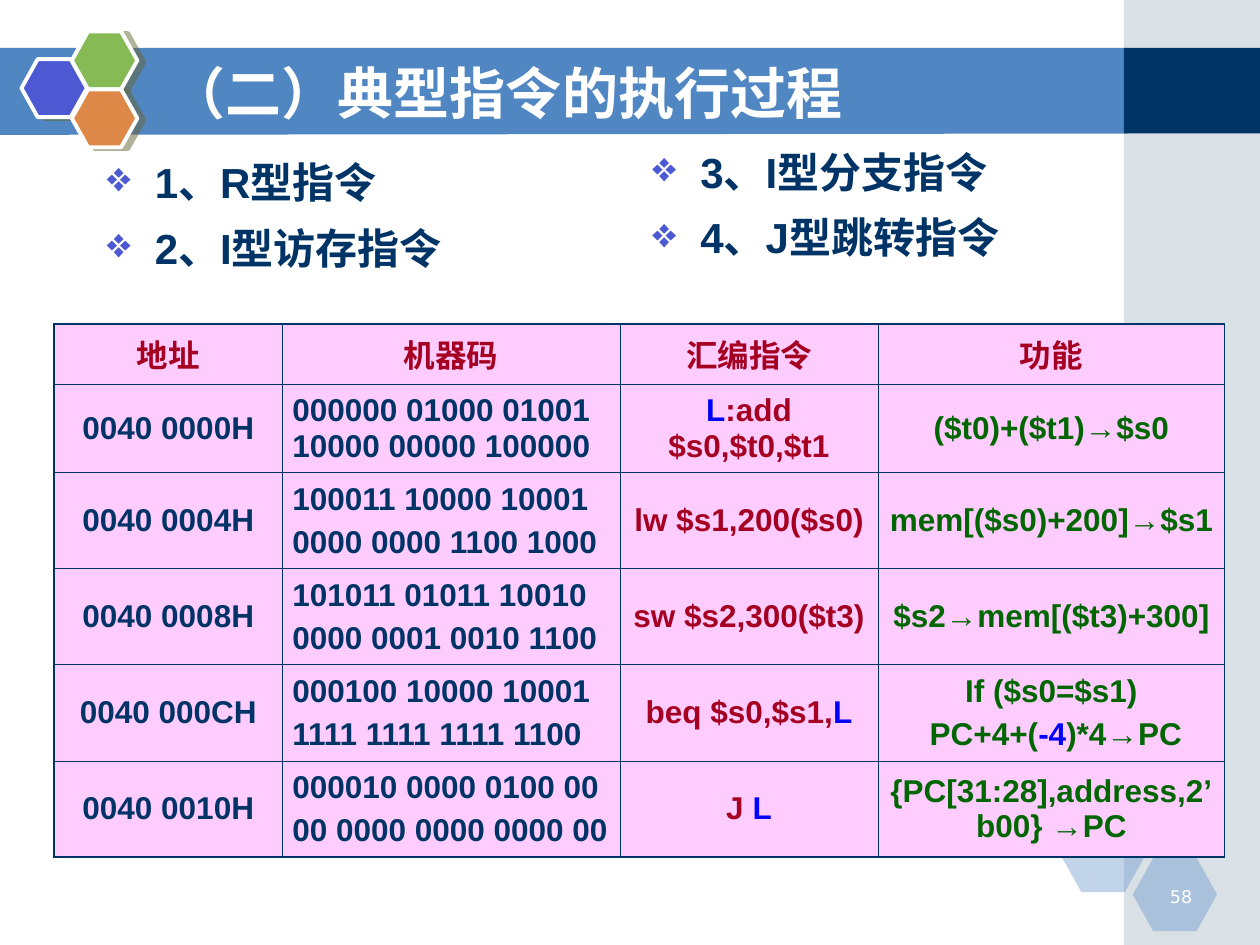
from lxml import etree
from pptx import Presentation
from pptx.dml.color import RGBColor
from pptx.enum.shapes import MSO_SHAPE
from pptx.enum.text import MSO_ANCHOR, PP_ALIGN
from pptx.oxml.ns import qn
from pptx.util import Inches, Pt

RECTANGLE, HEXAGON = MSO_SHAPE.RECTANGLE, MSO_SHAPE.HEXAGON
LEFT, CENTER, RIGHT = PP_ALIGN.LEFT, PP_ALIGN.CENTER, PP_ALIGN.RIGHT
TOP, MIDDLE = MSO_ANCHOR.TOP, MSO_ANCHOR.MIDDLE

COLORS = {
    "band": "5086C2", "strip": "A0B5C4", "navy": "003366", "white": "FFFFFF",
    "violet": "4C59D2", "green": "85BA54", "orange": "DE8848", "shade": "666633",
    "pink": "FFCCFF", "crimson": "A50021", "blue": "0000FF", "forest": "006600",
}
CJK_FONT = "Noto Sans CJK SC"


def add_element(parent, tag, **attributes):
    return etree.SubElement(parent, qn(tag), {key: str(value) for key, value in attributes.items()})


class SlideBuilder:
    def __init__(self, page):
        self.page = page

    def set_fill(self, item, color, opacity=100):
        item.fill.solid()
        item.fill.fore_color.rgb = RGBColor.from_string(COLORS[color])
        if opacity < 100:
            tint = item.element.spPr.find(qn("a:solidFill")).find(qn("a:srgbClr"))
            add_element(tint, "a:alpha", val=opacity * 1000)

    def band(self, points, color):
        corners = [(Inches(x), Inches(y)) for x, y in points]
        outline = self.page.shapes.build_freeform(*corners[0])
        outline.add_line_segments(corners[1:], close=True)
        shape = outline.convert_to_shape()
        shape.shadow.inherit = False
        shape.line.fill.background()
        self.set_fill(shape, color)

    def shape(self, kind, x, y, width, height, color, opacity=100):
        shape = self.page.shapes.add_shape(kind, Inches(x), Inches(y), Inches(width), Inches(height))
        shape.shadow.inherit = False
        shape.line.fill.background()
        self.set_fill(shape, color, opacity)
        if kind == HEXAGON:
            shape.adjustments[0] = 0.28
        return shape

    def badge(self, x, y, color):
        """Add a white-edged hexagon with a hard drop shadow."""
        shape = self.shape(HEXAGON, x, y, 0.52, 0.46, color)
        shape.line.color.rgb = RGBColor.from_string(COLORS["white"])
        shape.line.width = Pt(2.25)
        effects = shape.element.spPr.find(qn("a:effectLst"))
        shadow = add_element(effects, "a:outerShdw", blurRad=0, dist=Pt(4.1),
                             dir=14 * 60000, algn="ctr", rotWithShape=0)
        tint = add_element(shadow, "a:srgbClr", val=COLORS["shade"])
        add_element(tint, "a:alpha", val=50000)

    def span(self, para, text, size, color, font="Arial", bold=True):
        span = para.add_run()
        span.text = text
        span.font.size = Pt(size)
        span.font.bold = bold
        span.font.color.rgb = RGBColor.from_string(COLORS[color])
        span.font.name = font
        add_element(span.font._element, "a:ea", typeface=CJK_FONT)

    def text_box(self, x, y, width, height, anchor=TOP):
        box = self.page.shapes.add_textbox(Inches(x), Inches(y), Inches(width), Inches(height))
        box.text_frame.word_wrap = True
        box.text_frame.vertical_anchor = anchor
        return box.text_frame

    def label(self, x, y, width, height, text, size, font, align=LEFT, anchor=TOP, bold=True):
        para = self.text_box(x, y, width, height, anchor).paragraphs[0]
        para.alignment = align
        self.span(para, text, size, "white", font, bold)

    def paragraphs(self, frame, count, gap):
        """Yield paragraphs with the gap only between them."""
        for index in range(count):
            para = frame.add_paragraph() if index else frame.paragraphs[0]
            if index:
                para.space_before = Pt(gap)
            yield para

    def bullets(self, x, y, items):
        frame = self.text_box(x, y, 4.09, 1.1)
        for para, item in zip(self.paragraphs(frame, len(items), 6), items):
            para.line_spacing = 1.1
            properties = para._p.get_or_add_pPr()
            properties.set("marL", str(Inches(0.38)))
            properties.set("indent", str(-Inches(0.38)))
            add_element(add_element(properties, "a:buClr"), "a:srgbClr", val=COLORS["violet"])
            add_element(properties, "a:buChar", char="❖")
            self.span(para, item, 24, "navy")

    def borders(self, cell, widths):
        properties = cell._tc.get_or_add_tcPr()
        for side, width in zip("LRTB", widths):
            line = add_element(properties, f"a:ln{side}", w=Pt(width))
            add_element(add_element(line, "a:solidFill"), "a:srgbClr", val=COLORS["navy"])

    def cell(self, cell, paragraphs, color, align):
        """Fill a cell; each paragraph is a list of spans, and "*" marks a blue span."""
        cell.vertical_anchor = MIDDLE
        cell.margin_left = Inches(0.08 if align == LEFT else 0.04)
        cell.margin_right = Inches(0.04)
        cell.margin_top = cell.margin_bottom = Inches(0.05)
        self.set_fill(cell, "pink")
        for para, spans in zip(self.paragraphs(cell.text_frame, len(paragraphs), 4.5), paragraphs):
            para.alignment = align
            for text in spans:
                marked = text.startswith("*")
                self.span(para, text[1:] if marked else text, 18, "blue" if marked else color)

    def table(self, x, y, widths, heights, header, rows):
        frame = self.page.shapes.add_table(len(heights), len(widths), Inches(x), Inches(y),
                                           Inches(sum(widths)), Inches(sum(heights)))
        table = frame.table
        table.horz_banding = False
        for column, width in zip(table.columns, widths):
            column.width = Inches(width)
        for row, height in zip(table.rows, heights):
            row.height = Inches(height)
        last_row, last_column = len(heights) - 1, len(widths) - 1
        column_colors = ["navy", "navy", "crimson", "forest"]
        for r, row in enumerate([[[[title]] for title in header]] + rows):
            for c, paragraphs in enumerate(row):
                cell = table.cell(r, c)
                outer = (c == 0, c == last_column, r == 0, r == last_row)
                self.borders(cell, [1.08 if edge else 0.45 for edge in outer])
                color = column_colors[c] if r else "crimson"
                self.cell(cell, paragraphs, color, LEFT if r and c == 1 else CENTER)


HEADER = ["地址", "机器码", "汇编指令", "功能"]
INSTRUCTIONS = [
    [[["0040 0000H"]], [["000000 01000 01001 10000 00000 100000"]],
     [["*L", ":add $s0,$t0,$t1"]], [["($t0)+($t1)→$s0"]]],
    [[["0040 0004H"]], [["100011 10000 10001"], ["0000 0000 1100 1000"]],
     [["lw $s1,200($s0)"]], [["mem[($s0)+200]→$s1"]]],
    [[["0040 0008H"]], [["101011 01011 10010"], ["0000 0001 0010 1100"]],
     [["sw $s2,300($t3)"]], [["$s2→mem[($t3)+300]"]]],
    [[["0040 000CH"]], [["000100 10000 10001"], ["1111 1111 1111 1100"]],
     [["beq $s0,$s1,", "*L"]], [["If ($s0=$s1)"], [" PC+4+(", "*-4", ")*4→PC"]]],
    [[["0040 0010H"]], [["000010 0000 0100 00"], ["00 0000 0000 0000 00"]],
     [["J ", "*L"]], [["{PC[31:28],address,2’b00} →PC"]]],
]


def main():
    deck = Presentation()
    deck.slide_width, deck.slide_height = Inches(10), Inches(7.5)
    builder = SlideBuilder(deck.slides.add_slide(deck.slide_layouts[6]))

    builder.band([(-0.01, 0.38), (8.95, 0.38), (8.95, 1.06), (-0.01, 1.07)], "band")
    builder.shape(RECTANGLE, 8.92, 0, 1.08, 7.5, "strip", 40)
    builder.shape(RECTANGLE, 8.92, 0.38, 1.08, 0.68, "navy")
    for x, y in [(8.42, 6.5), (9, 6.17), (8.99, 6.81)]:
        builder.shape(HEXAGON, x, y, 0.67, 0.58, "band", 35)
    for x, y, color in [(0.17, 0.47, "violet"), (0.57, 0.25, "green"), (0.57, 0.71, "orange")]:
        builder.badge(x, y, color)

    builder.label(9.06, 6.98, 0.5, 0.25, "58", 10, "DejaVu Sans", align=RIGHT, bold=False)
    builder.label(1.25, 0.42, 7.33, 0.62, "（二）典型指令的执行过程", 32, CJK_FONT, anchor=MIDDLE)
    builder.bullets(0.75, 1.15, ["1、R型指令", "2、I型访存指令"])
    builder.table(0.43, 2.57, [1.81, 2.68, 2.05, 2.75], [0.48, 0.69] + [0.75] * 4,
                  HEADER, INSTRUCTIONS)
    builder.bullets(5.08, 1.07, ["3、I型分支指令", "4、J型跳转指令"])
    deck.save("out.pptx")


if __name__ == "__main__":
    main()
